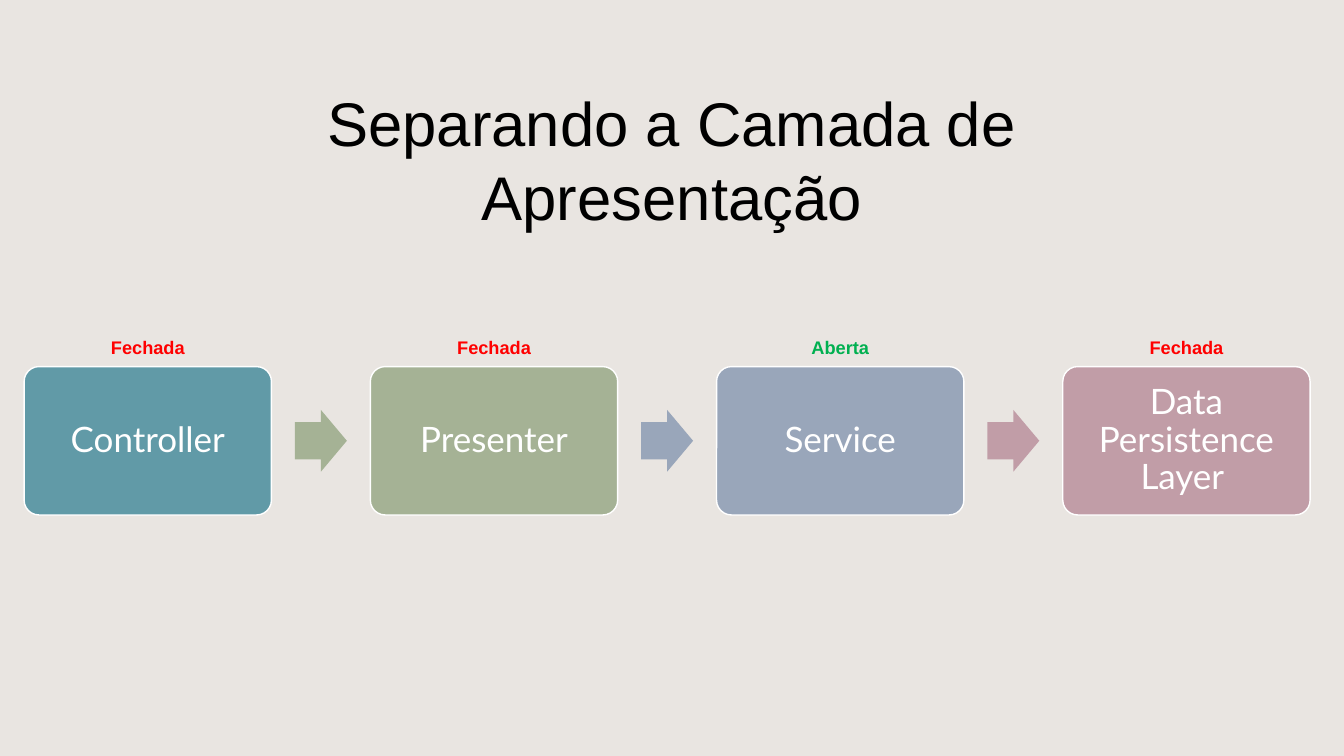
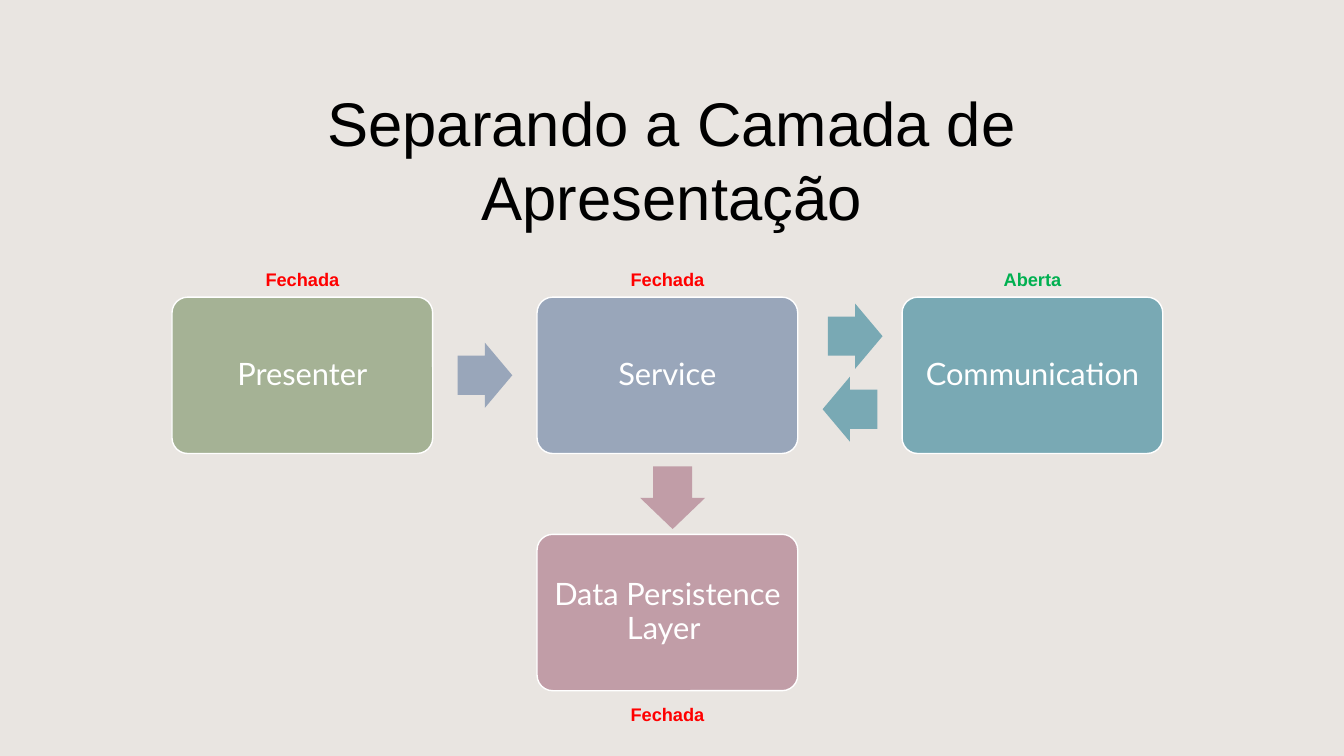
from pptx import Presentation
from pptx.dml.color import RGBColor
from pptx.enum.shapes import MSO_SHAPE
from pptx.enum.text import MSO_ANCHOR, PP_ALIGN
from pptx.util import Inches, Pt

ROUND_BOX = MSO_SHAPE.ROUNDED_RECTANGLE
ARROW = MSO_SHAPE.RIGHT_ARROW
MIDDLE = MSO_ANCHOR.MIDDLE
CENTER = PP_ALIGN.CENTER

W, H = Inches(13.33), Inches(7.5)
TITLE = "Separando a Camada de Apresentação"
COLORS = {
    "background": "E9E5E1", "title": "000000", "white": "FFFFFF",
    "controller": "619AA7", "presenter": "A5B295", "service": "99A6BA",
    "data": "C19DA7", "communication": "79A9B4",
    "Fechada": "FF0000", "Aberta": "00B050",
}

BOX_RATIO = 0.6
COL_STEP, ROW_STEP = 1.4, 0.91
ARROW_LENGTH, ARROW_WIDTH = 0.21, 0.25


def rgb(name):
    """Return the colour of a palette entry."""
    return RGBColor.from_string(COLORS[name])


def write(sp, text, size, font, color, bold=False, spacing=None):
    """Write one centred paragraph into a shape."""
    tf = sp.text_frame
    tf.word_wrap = True
    tf.vertical_anchor = MIDDLE
    p = tf.paragraphs[0]
    p.alignment = CENTER
    if spacing:
        p.line_spacing = spacing
    r = p.add_run()
    r.text = text
    r.font.size = Pt(size)
    r.font.name = font
    r.font.bold = bold
    r.font.color.rgb = rgb(color)


def add_filled(slide, kind, box, color):
    """Add a flat preset shape without outline."""
    sp = slide.shapes.add_shape(kind, *(round(v) for v in box))
    sp.shadow.inherit = False
    sp.fill.solid()
    sp.fill.fore_color.rgb = rgb(color)
    sp.line.fill.background()
    return sp


def add_title(slide):
    """Add the title across the upper part of the slide."""
    left, width = round(W * 0.09), round(W * 0.82)
    sp = slide.shapes.add_textbox(left, round(H * 0.06), width, round(H * 0.3))
    write(sp, TITLE, 44, "Arial", "title")


def add_node(slide, grid, col, row, text, color, size):
    """Add a layer box in a cell of the grid."""
    left, top, w = grid
    box = (left + col * COL_STEP * w, top + row * ROW_STEP * w, w, BOX_RATIO * w)
    sp = add_filled(slide, ROUND_BOX, box, color)
    sp.adjustments[0] = 0.1
    sp.line.color.rgb = rgb("white")
    sp.line.width = Pt(1)
    tf = sp.text_frame
    tf.margin_left = tf.margin_right = Pt(size * 0.28)
    tf.margin_top = tf.margin_bottom = Pt(size * 0.28)
    write(sp, text, size, "Lato", "white", spacing=0.9)


def add_state(slide, grid, col, y, text):
    """Add the state of a layer, centred on its column at height y in box widths."""
    left, top, w = grid
    height = H * 0.04
    box = (left + col * COL_STEP * w, top + y * w - height / 2, w, height)
    sp = slide.shapes.add_textbox(*(round(v) for v in box))
    write(sp, text, 13, "Arial", text, bold=True)


def add_arrow(slide, grid, x, y, color, angle=0, length=ARROW_LENGTH):
    """Add a block arrow centred at x, y in box widths."""
    left, top, w = grid
    box = (left + (x - length / 2) * w, top + (y - ARROW_WIDTH / 2) * w,
           length * w, ARROW_WIDTH * w)
    sp = add_filled(slide, ARROW, box, color)
    sp.adjustments[0], sp.adjustments[1] = 0.6, 0.5
    sp.rotation = angle


def add_slide(prs, grid, size, nodes, arrows, states):
    """Add a titled slide with a diagram of layers on a grid."""
    slide = prs.slides.add_slide(prs.slide_layouts[6])
    add_title(slide)
    for col, row, text, color in nodes:
        add_node(slide, grid, col, row, text, color, size)
    for arrow in arrows:
        add_arrow(slide, grid, *arrow)
    for state in states:
        add_state(slide, grid, *state)


def add_chain_slide(prs):
    """Add the four layers in one row."""
    nodes = [
        (0, 0, "Controller", "controller"),
        (1, 0, "Presenter", "presenter"),
        (2, 0, "Service", "service"),
        (3, 0, "Data Persistence Layer ", "data"),
    ]
    arrows = [(col * COL_STEP - 0.2, BOX_RATIO / 2, color)
              for col, _, _, color in nodes[1:]]
    states = [(col, -0.08, text) for col, text in
              enumerate(["Fechada", "Fechada", "Aberta", "Fechada"])]
    add_slide(prs, (W * 0.018, H * 0.485, W * 0.184), 25, nodes, arrows, states)


def add_branch_slide(prs):
    """Add three layers in a row with the data layer below the middle one."""
    nodes = [
        (0, 0, "Presenter", "presenter"),
        (1, 0, "Service", "service"),
        (2, 0, "Communication", "communication"),
        (1, 1, "Data Persistence Layer ", "data"),
    ]
    arrows = [
        (1.2, BOX_RATIO / 2, "service"),
        (2.62, 0.15, "communication"),
        (2.6, 0.43, "communication", 180),
        (1.92, 0.77, "data", 90, 0.24),
    ]
    states = [(col, -0.07, text) for col, text in
              enumerate(["Fechada", "Fechada", "Aberta"])]
    states.append((1, 1.6, "Fechada"))
    add_slide(prs, (W * 0.128, H * 0.393, W * 0.194), 22, nodes, arrows, states)


def main():
    """Build and save the presentation."""
    prs = Presentation()
    prs.slide_width, prs.slide_height = W, H
    fill = prs.slide_master.background.fill
    fill.solid()
    fill.fore_color.rgb = rgb("background")
    add_chain_slide(prs)
    add_branch_slide(prs)
    prs.save("out.pptx")


if __name__ == "__main__":
    main()
